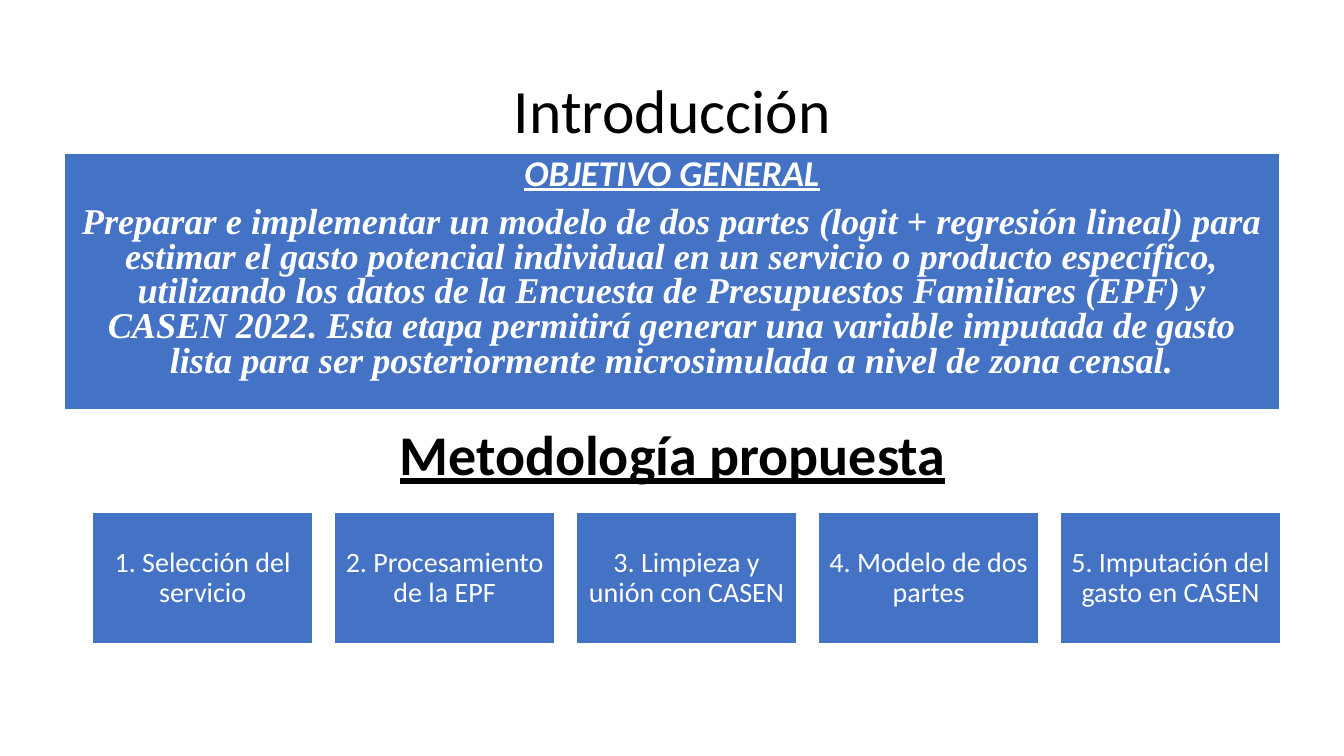
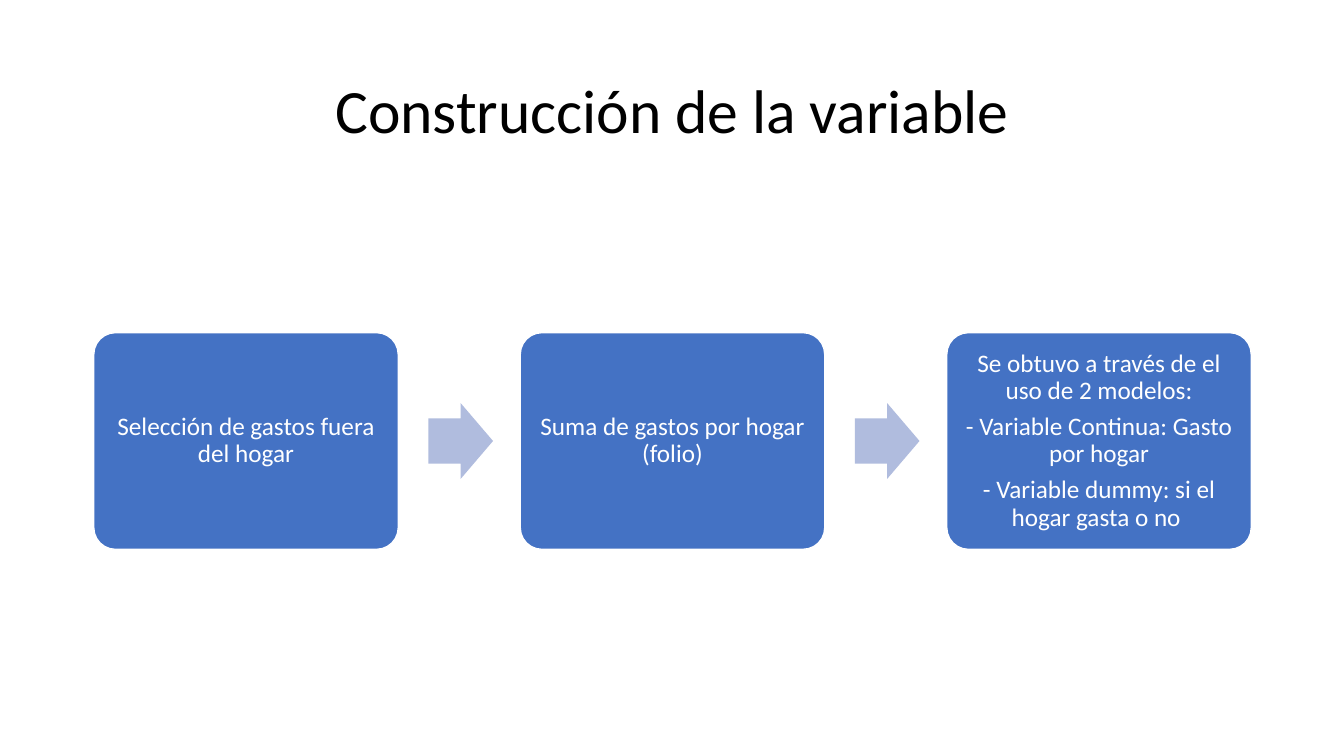
from dataclasses import dataclass

import pptx
import pptx.dml.color
import pptx.enum.shapes
import pptx.enum.text
import pptx.util
from pptx.util import Inches

# Shared look
BLUE, PALE_BLUE, WHITE, BLACK = "4472C4", "B0BCDE", "FFFFFF", "000000"
SANS, SERIF = "Calibri", "Times New Roman"
SHAPE = pptx.enum.shapes.MSO_SHAPE
ANCHOR = pptx.enum.text.MSO_ANCHOR


@dataclass
class Box:
    x: float
    y: float
    w: float
    h: float

    def inches(self):
        return [Inches(v) for v in (self.x, self.y, self.w, self.h)]


@dataclass
class Para:
    text: str
    size: float
    color: str = WHITE
    font: str = SANS
    bold: bool = False
    italic: bool = False
    underline: bool = False
    spacing: float = 0.9
    before: float = 0
    after: float = 0


def rgb(color: str):
    return pptx.dml.color.RGBColor.from_string(color)


def write(sp, paras: list[Para], anchor=ANCHOR.MIDDLE, inset=(0.1, 0.05), wrap=True):
    tf = sp.text_frame
    tf.word_wrap = wrap
    tf.vertical_anchor = anchor
    tf.margin_left = tf.margin_right = Inches(inset[0])
    tf.margin_top = tf.margin_bottom = Inches(inset[1])
    for i, para in enumerate(paras):
        p = tf.add_paragraph() if i else tf.paragraphs[0]
        p.text = para.text
        p.alignment = pptx.enum.text.PP_ALIGN.CENTER
        p.line_spacing = para.spacing
        p.space_before = pptx.util.Pt(para.before)
        p.space_after = pptx.util.Pt(para.after)
        font = p.font
        font.name, font.size = para.font, pptx.util.Pt(para.size)
        font.bold, font.italic, font.underline = para.bold, para.italic, para.underline
        font.color.rgb = rgb(para.color)


def add_text(s, box: Box, para: Para, wrap=True):
    write(s.shapes.add_textbox(*box.inches()), [para], wrap=wrap)


def add_block(s, kind, box: Box, fill: str, line_width: float = 0):
    sp = s.shapes.add_shape(kind, *box.inches())
    sp.shadow.inherit = False
    sp.fill.solid()
    sp.fill.fore_color.rgb = rgb(fill)
    if line_width:
        sp.line.color.rgb = rgb(WHITE)
        sp.line.width = pptx.util.Pt(line_width)
    else:
        sp.line.fill.background()
    return sp


def add_slide(prs, title: str):
    s = prs.slides.add_slide(prs.slide_layouts[6])
    add_text(s, Box(0.92, 0.4, 11.5, 1.45), Para(title, 44, BLACK))
    return s


def build_introduction(prs):
    s = add_slide(prs, "Introducción")

    # General objective
    sp = add_block(s, SHAPE.RECTANGLE, Box(0.63, 1.52, 12.07, 2.55), BLUE, 1.5)
    style = dict(size=25.9, bold=True, italic=True, spacing=0.8)
    write(sp, [
        Para("OBJETIVO GENERAL", underline=True, **style),
        Para("Preparar e implementar un modelo de dos partes (logit + regresión lineal) "
             "para estimar el gasto potencial individual en un servicio o producto "
             "específico, utilizando los datos de la Encuesta de Presupuestos Familiares "
             "(EPF) y CASEN 2022. Esta etapa permitirá generar una variable imputada de "
             "gasto lista para ser posteriormente microsimulada a nivel de zona censal.",
             font=SERIF, before=9.5, **style),
    ], anchor=ANCHOR.TOP, inset=(0.13, 0.05))

    # Method steps
    add_text(s, Box(3.83, 4.11, 5.68, 0.77),
             Para("Metodología propuesta", 40, BLACK, bold=True, underline=True, spacing=1.0),
             wrap=False)
    steps = ["Selección del servicio", "Procesamiento de la EPF",
             "Limpieza y unión con CASEN", "Modelo de dos partes",
             "Imputación del gasto en CASEN"]
    for i, step in enumerate(steps):
        sp = add_block(s, SHAPE.RECTANGLE, Box(0.92 + 2.4 * i, 5.08, 2.18, 1.31), BLUE, 1)
        write(sp, [Para(f"{i + 1}. {step}", 20)], inset=(0.08, 0.08))


def build_variable(prs):
    s = add_slide(prs, "Construcción de la variable")

    # Stages joined by arrows
    stages = [
        ["Selección de gastos fuera del hogar"],
        ["Suma de gastos por hogar (folio)"],
        ["Se obtuvo a través de el uso de 2 modelos:",
         "- Variable Continua: Gasto por hogar",
         "- Variable dummy: si el hogar gasta o no "],
    ]
    for i, lines in enumerate(stages):
        x = 0.93 + 4.23 * i
        sp = add_block(s, SHAPE.ROUNDED_RECTANGLE, Box(x, 3.3, 3.02, 2.15), BLUE, 1)
        sp.adjustments[0] = 0.1
        write(sp, [Para(line, 18, after=6.3) for line in lines], inset=(0.07, 0.07))
        if i < len(stages) - 1:
            arrow = add_block(s, SHAPE.RIGHT_ARROW, Box(x + 3.32, 4, 0.64, 0.75), PALE_BLUE)
            arrow.adjustments[0] = 0.6


def main():
    prs = pptx.Presentation()
    prs.slide_width, prs.slide_height = Inches(13.33), Inches(7.5)
    build_introduction(prs)
    build_variable(prs)
    prs.save("out.pptx")


if __name__ == "__main__":
    main()
